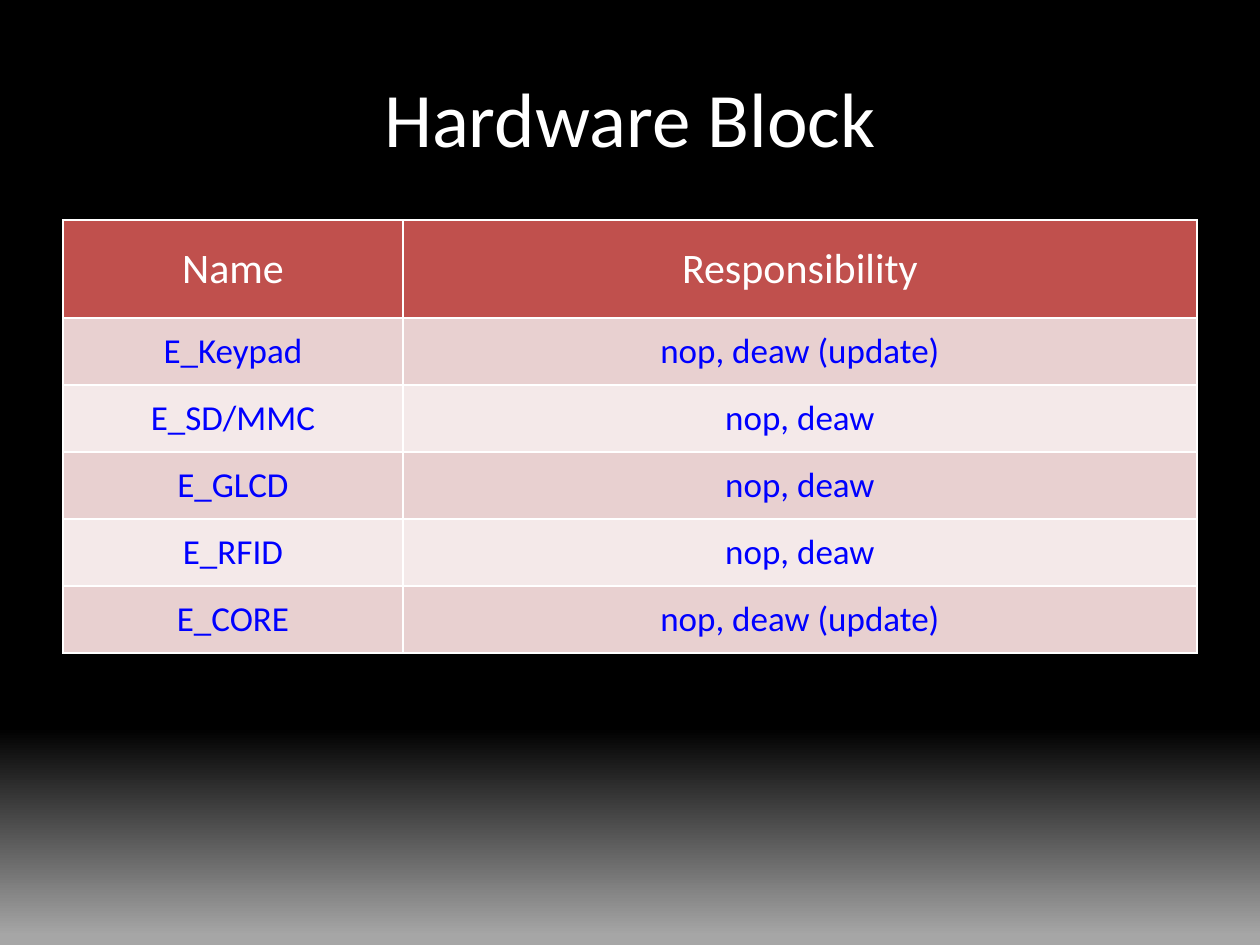
"""Build the hardware block slide with its table of names and responsibilities."""
import dataclasses

import lxml.etree
import pptx
import pptx.dml.color
import pptx.enum.text
import pptx.oxml.ns
import pptx.util

EMU_PER_PX = 914400 / 126
FONT = "Calibri"
WHITE = "FFFFFF"
INSET = 5
BORDER_SIDES = ("lnL", "lnR", "lnT", "lnB")
COLUMN_WIDTHS = (340, 794)


@dataclasses.dataclass(frozen=True)
class RowStyle:
    height: int
    size: int
    color: str
    fill: str


HEADER = RowStyle(98, 24, WHITE, "C0504D")
BANDS = (RowStyle(67, 20, "0000FF", "E8D0D0"), RowStyle(67, 20, "0000FF", "F4E9E9"))
HEADINGS = ("Name", "Responsibility")
BLOCKS = (
    ("E_Keypad", "nop, deaw (update)"),
    ("E_SD/MMC", "nop, deaw"),
    ("E_GLCD", "nop, deaw"),
    ("E_RFID", "nop, deaw"),
    ("E_CORE", "nop, deaw (update)"),
)


def px(length: int) -> pptx.util.Emu:
    return pptx.util.Emu(round(length * EMU_PER_PX))


def rgb(color: str) -> pptx.dml.color.RGBColor:
    return pptx.dml.color.RGBColor.from_string(color)


def write(frame, text: str, size: int, color: str) -> None:
    frame.text = text
    paragraph = frame.paragraphs[0]
    paragraph.alignment = pptx.enum.text.PP_ALIGN.CENTER
    paragraph.font.name = FONT
    paragraph.font.size = pptx.util.Pt(size)
    paragraph.font.bold = False
    paragraph.font.color.rgb = rgb(color)


def add_borders(cell, color: str, width: int) -> None:
    qn = pptx.oxml.ns.qn
    properties = cell._tc.get_or_add_tcPr()
    for side in BORDER_SIDES:
        line = lxml.etree.SubElement(properties, qn(f"a:{side}"), w=str(pptx.util.Pt(width)))
        solid = lxml.etree.SubElement(line, qn("a:solidFill"))
        lxml.etree.SubElement(solid, qn("a:srgbClr"), val=color)


def fill_row(table, index: int, texts: tuple[str, ...], style: RowStyle) -> None:
    table.rows[index].height = px(style.height)
    for cell, text in zip(table.rows[index].cells, texts):
        cell.margin_left = cell.margin_right = px(INSET)
        cell.margin_top = cell.margin_bottom = px(INSET)
        cell.vertical_anchor = pptx.enum.text.MSO_ANCHOR.MIDDLE
        add_borders(cell, WHITE, 1)
        cell.fill.solid()
        cell.fill.fore_color.rgb = rgb(style.fill)
        write(cell.text_frame, text, style.size, style.color)


def paint_background(slide) -> None:
    fill = slide.background.fill
    fill.gradient()
    fill.gradient_angle = 270
    for stop, position, color in zip(fill.gradient_stops, (0.77, 0.99), ("000000", "A6A6A6")):
        stop.position = position
        stop.color.rgb = rgb(color)


def add_title(slide) -> None:
    title = slide.shapes.title
    title.left, title.top, title.width, title.height = map(px, (63, 38, 1134, 158))
    title.text_frame.vertical_anchor = pptx.enum.text.MSO_ANCHOR.MIDDLE
    write(title.text_frame, "Hardware Block", 44, WHITE)


def add_block_table(slide) -> None:
    rows = [(HEADINGS, HEADER)]
    rows += [(block, BANDS[i % len(BANDS)]) for i, block in enumerate(BLOCKS)]
    height = sum(style.height for _, style in rows)
    table = slide.shapes.add_table(
        len(rows), len(HEADINGS), px(63), px(220), px(sum(COLUMN_WIDTHS)), px(height)
    ).table
    for column, width in zip(table.columns, COLUMN_WIDTHS):
        column.width = px(width)
    for index, (texts, style) in enumerate(rows):
        fill_row(table, index, texts, style)


def main() -> None:
    deck = pptx.Presentation()
    deck.slide_width, deck.slide_height = px(1260), px(945)
    slide = deck.slides.add_slide(deck.slide_layouts[5])
    paint_background(slide)
    add_title(slide)
    add_block_table(slide)
    deck.save("out.pptx")


if __name__ == "__main__":
    main()
